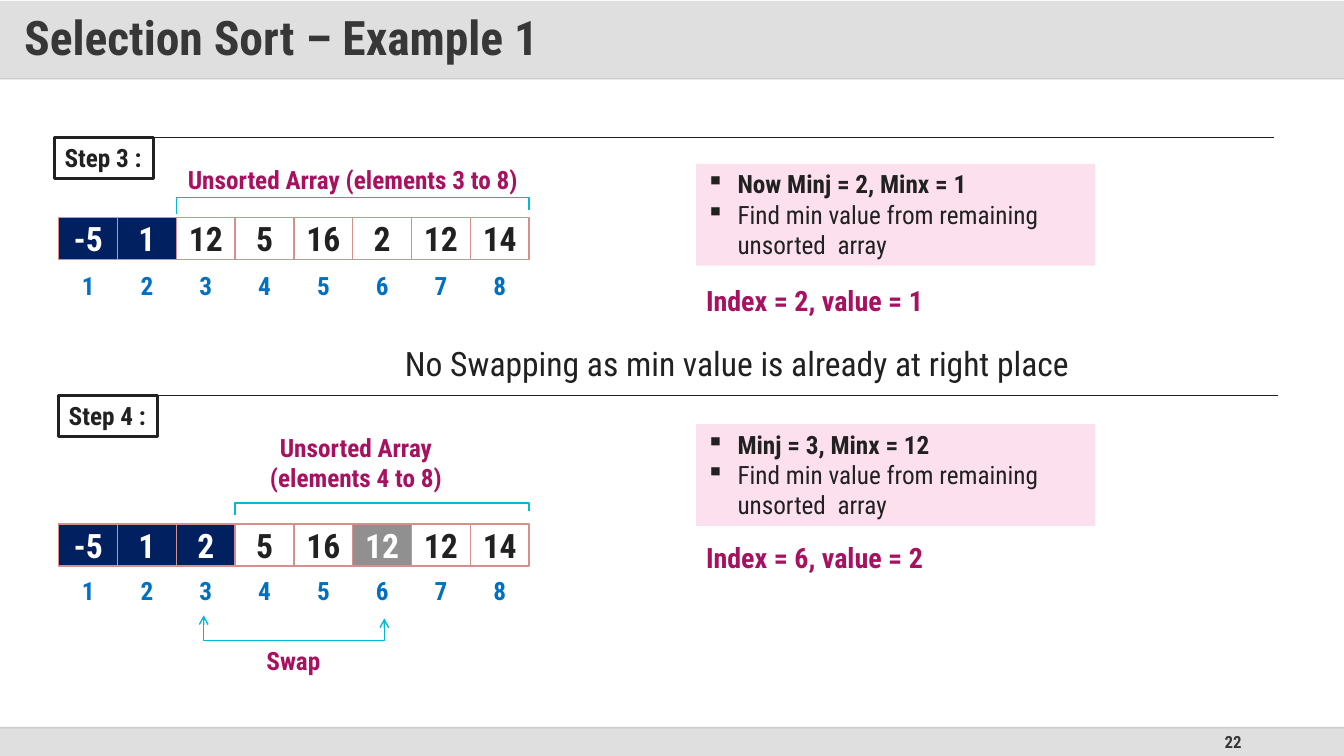
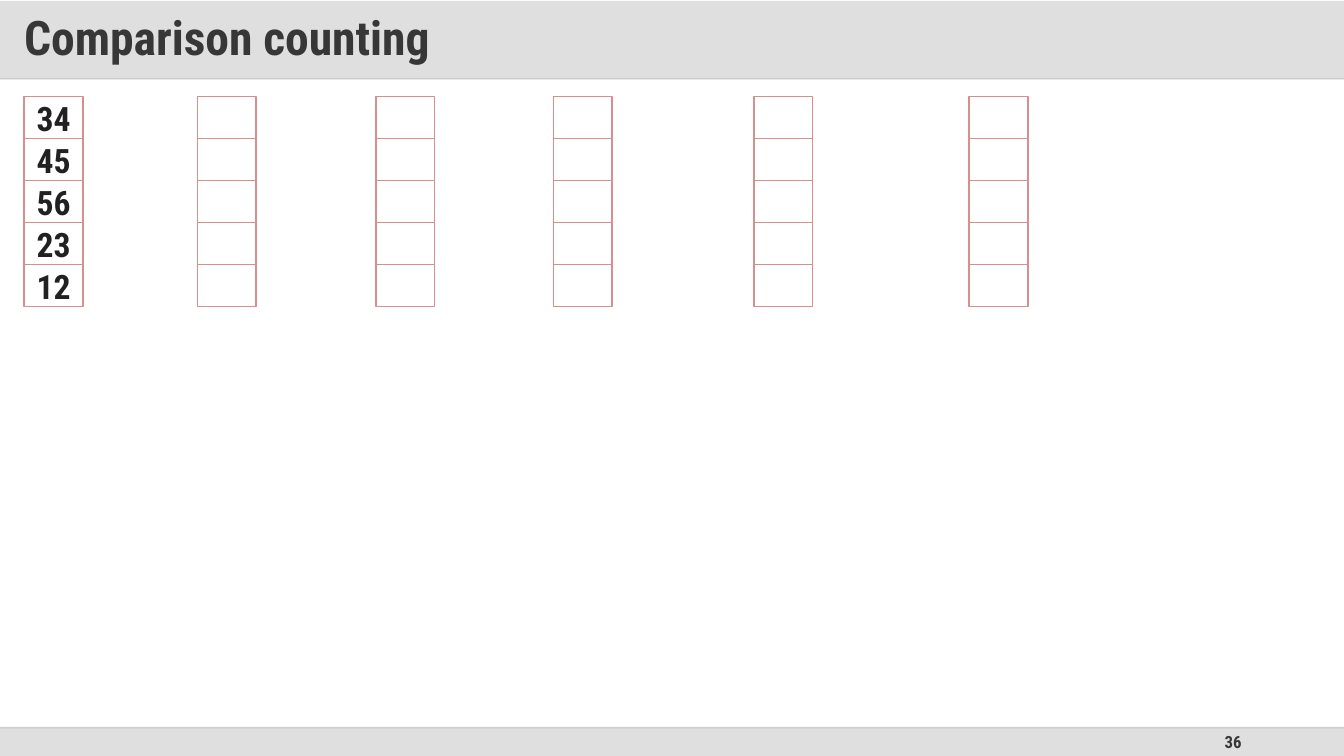
import lxml.etree
import pptx
import pptx.dml.color
import pptx.enum.shapes
import pptx.enum.text
import pptx.oxml.ns
import pptx.util

PX = 9525  # EMU in one px, 96 px to the inch
PAGE_W, PAGE_H = 1280, 720
CELL_W, CELL_H = 56, 40
ARRAY_X, NOTE_X = 56, 663
FONT = "Roboto Condensed"
COLORS = {
    "band": "C0C0C0", "footer": "DFDFDF", "title": "373737",
    "title_line": "D9D9D9", "footer_line": "BFBFBF",
    "ink": "212121", "white": "FFFFFF", "navy": "002060", "gray": "909090",
    "cell_line": "D68F8C", "index": "0070C0", "accent": "A71160",
    "bracket": "00BBD3", "note": "FCE0EE",
}
# Fill and text colour of each kind of array cell
CELL_STYLES = {
    "open": ("white", "ink"),
    "sorted": ("navy", "white"),
    "minimum": ("gray", "white"),
}

ALIGN = pptx.enum.text.PP_ALIGN
ANCHOR = pptx.enum.text.MSO_ANCHOR
AUTO_SIZE = pptx.enum.text.MSO_AUTO_SIZE
SHAPE = pptx.enum.shapes.MSO_SHAPE
qn = pptx.oxml.ns.qn


def px(length):
    return pptx.util.Emu(length * PX)


def rgb(name):
    return pptx.dml.color.RGBColor.from_string(COLORS[name])


def set_opacity(shape, percent):
    for color in shape.element.spPr.iter(qn("a:srgbClr")):
        lxml.etree.SubElement(color, qn("a:alpha"), val=str(percent * 1000))


def set_line(shape, color, width):
    shape.line.color.rgb = rgb(color)
    shape.line.width = pptx.util.Pt(width)


def add_box(page, x, y, width, height, fill=None, line=None, line_width=1):
    box = page.shapes.add_shape(SHAPE.RECTANGLE, px(x), px(y), px(width), px(height))
    box.shadow.inherit = False
    if fill:
        box.fill.solid()
        box.fill.fore_color.rgb = rgb(fill)
    else:
        box.fill.background()
    if line:
        set_line(box, line, line_width)
    else:
        box.line.fill.background()
    return box


def write(box, lines, size, color, bold=True, align=ALIGN.LEFT,
          anchor=ANCHOR.TOP, wrap=True, grow=False):
    frame = box.text_frame
    frame.word_wrap = wrap
    frame.vertical_anchor = anchor
    if grow:
        frame.auto_size = AUTO_SIZE.SHAPE_TO_FIT_TEXT
    for number, text in enumerate(lines):
        para = frame.add_paragraph() if number else frame.paragraphs[0]
        para.alignment = align
        span = para.add_run()
        span.text = text
        span.font.name = FONT
        span.font.size = pptx.util.Pt(size)
        span.font.bold = bold
        span.font.color.rgb = rgb(color)
    return frame


def add_label(page, x, y, width, height, lines, size=18, color="accent", **style):
    box = page.shapes.add_textbox(px(x), px(y), px(width), px(height))
    write(box, lines, size, color, grow=True, **style)


def add_rule(page, x1, x2, y, color, width):
    rule = page.shapes.add_connector(
        pptx.enum.shapes.MSO_CONNECTOR.STRAIGHT, px(x1), px(y), px(x2), px(y))
    set_line(rule, color, width)
    lxml.etree.SubElement(rule.element.spPr, qn("a:effectLst"))
    return rule


def add_bracket(page, points, arrows=False):
    (start_x, start_y), *corners = points
    builder = page.shapes.build_freeform(start_x, start_y, scale=PX)
    builder.add_line_segments(corners, close=False)
    bracket = builder.convert_to_shape()
    bracket.shadow.inherit = False
    bracket.fill.background()
    set_line(bracket, "bracket", 1)
    if arrows:
        outline = bracket.element.spPr.find(qn("a:ln"))
        for end in ("a:headEnd", "a:tailEnd"):
            lxml.etree.SubElement(outline, qn(end), type="arrow")


def add_cell(page, x, y, text="", kind="open"):
    fill, color = CELL_STYLES[kind]
    box = add_box(page, x, y, CELL_W, CELL_H, fill, "cell_line")
    if text:
        write(box, [text], 24, color, align=ALIGN.CENTER, anchor=ANCHOR.MIDDLE)


def add_array(page, y, index_y, values, sorted_count, minimum=None):
    for position, value in enumerate(values, start=1):
        x = ARRAY_X + (position - 1) * CELL_W
        kind = "sorted" if position <= sorted_count else "open"
        if position == minimum:
            kind = "minimum"
        add_cell(page, x, y, value, kind)
        index = add_box(page, x, index_y, CELL_W, CELL_H)
        write(index, [str(position)], 18, "index",
              align=ALIGN.CENTER, anchor=ANCHOR.MIDDLE)


def add_step(page, x, y, title):
    add_rule(page, x, x + 1161, y, "ink", 0.5)
    box = add_box(page, x, y, 94, 39, line="ink", line_width=2.25)
    write(box, [title], 18, "ink", wrap=False, grow=True)


def add_note(page, y, state, result_y, result):
    box = add_box(page, NOTE_X, y, 380, 97, "note")
    lines = [state, "Find min value from remaining unsorted  array"]
    frame = write(box, lines, 18, "ink", grow=True)
    for para in frame.paragraphs:
        properties = para._p.get_or_add_pPr()
        properties.set("marL", str(px(30)))
        properties.set("indent", str(px(-30)))
        lxml.etree.SubElement(properties, qn("a:buChar"), char="▪")
    frame.paragraphs[1].runs[0].font.bold = False
    add_label(page, NOTE_X, result_y, 252, 42, [result], size=20)


def add_page(deck, title, number):
    page = deck.slides.add_slide(deck.slide_layouts[6])
    # Footer band and page number
    add_box(page, 0, 693, PAGE_W, 27, "footer")
    footer = add_box(page, 904, 693, 288, 27)
    write(footer, [number], 12, "title", align=ALIGN.RIGHT, anchor=ANCHOR.MIDDLE)
    add_rule(page, 0, PAGE_W, 75, "title_line", 1)
    set_opacity(add_rule(page, 0, PAGE_W, 693, "footer_line", 1), 70)
    # Title band
    band = add_box(page, 0, 1, PAGE_W, 75, "band")
    set_opacity(band, 50)
    frame = write(band, [title], 34, "title", anchor=ANCHOR.MIDDLE)
    frame.margin_left = frame.margin_right = px(23)
    frame.margin_top = frame.margin_bottom = px(12)
    frame.paragraphs[0].line_spacing = 0.9
    return page


def build_selection_sort(deck):
    page = add_page(deck, "Selection Sort – Example 1", "22")
    array_end = ARRAY_X + 8 * CELL_W

    # Step 3
    add_step(page, 52, 131, "Step 3 :")
    add_array(page, 207, 252, ["-5", "1", "12", "5", "16", "2", "12", "14"], 2)
    unsorted_x = ARRAY_X + 2 * CELL_W
    add_bracket(page, [(unsorted_x, 204), (unsorted_x, 188),
                       (array_end, 188), (array_end, 200)])
    add_label(page, 156, 152, 360, 39, ["Unsorted Array (elements 3 to 8)"],
              align=ALIGN.CENTER)
    add_note(page, 156, "Now Minj = 2, Minx = 1", 265, "Index = 2, value = 1")
    add_label(page, 369, 322, 666, 48,
              ["No Swapping as min value is already at right place"],
              size=24, color="ink", bold=False, align=ALIGN.CENTER, wrap=False)

    # Step 4
    add_step(page, 56, 377, "Step 4 :")
    add_array(page, 499, 542, ["-5", "1", "2", "5", "16", "12", "12", "14"], 3, 6)
    unsorted_x = ARRAY_X + 3 * CELL_W
    add_bracket(page, [(unsorted_x, 490), (unsorted_x, 479),
                       (array_end, 479), (array_end, 487)])
    add_label(page, 159, 407, 360, 68, ["Unsorted Array", "(elements 4 to 8)"],
              align=ALIGN.CENTER)
    add_note(page, 404, "Minj = 3, Minx = 12", 510, "Index = 6, value = 2")
    add_bracket(page, [(194, 586), (194, 610), (366, 610), (366, 589)], arrows=True)
    add_label(page, 232, 610, 95, 39, ["Swap"], align=ALIGN.CENTER)


def build_comparison_counting(deck):
    page = add_page(deck, "Comparison counting", "36")
    values = ["34", "45", "56", "23", "12"]
    empty = [""] * len(values)
    columns = [(23, values)] + [(x, empty) for x in (188, 358, 527, 718, 923)]
    for x, texts in columns:
        for row, text in enumerate(texts):
            add_cell(page, x, 92 + row * CELL_H, text)


def main():
    deck = pptx.Presentation()
    deck.slide_width, deck.slide_height = px(PAGE_W), px(PAGE_H)
    build_selection_sort(deck)
    build_comparison_counting(deck)
    deck.save("out.pptx")


if __name__ == "__main__":
    main()
